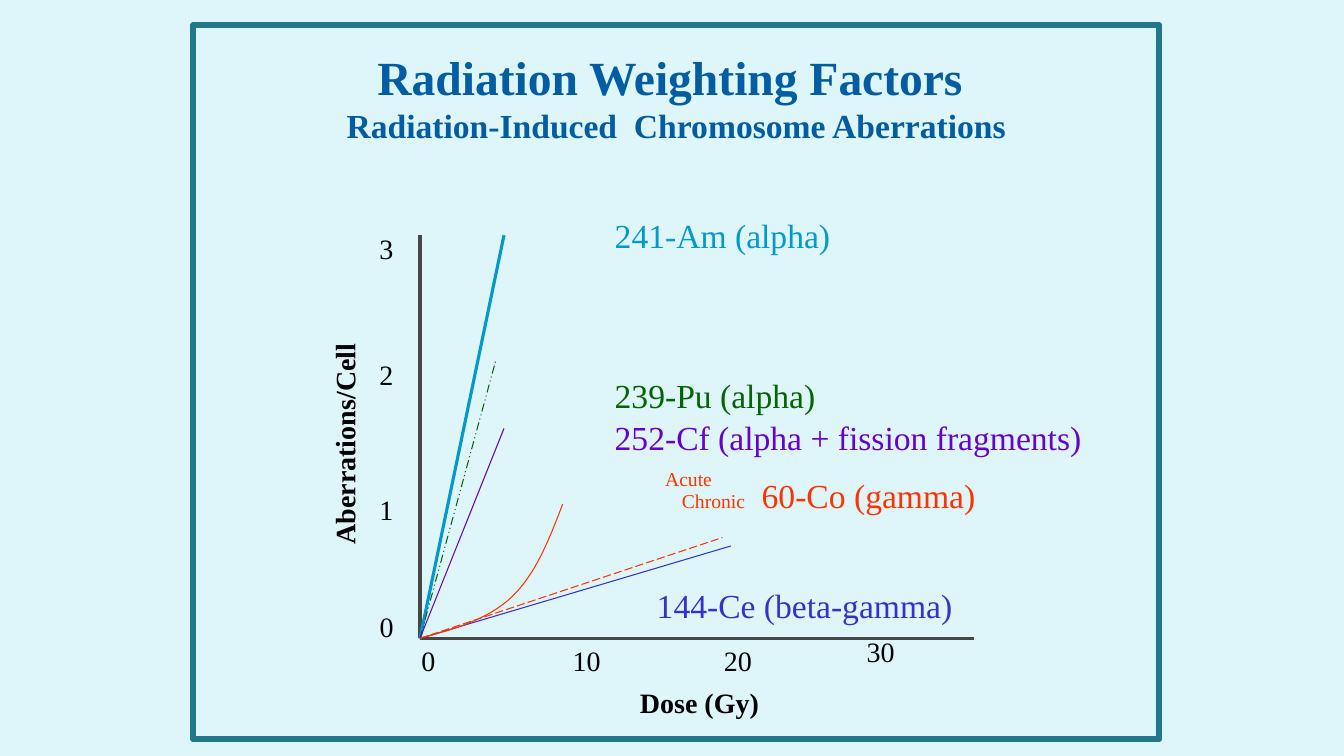
from lxml import etree
from pptx import Presentation
from pptx.dml.color import RGBColor as RGB
from pptx.enum.dml import MSO_LINE as Dash
from pptx.enum.shapes import MSO_CONNECTOR as Link, MSO_SHAPE as Form
from pptx.enum.text import MSO_ANCHOR as Anchor, PP_ALIGN as Align
from pptx.oxml.ns import qn
from pptx.util import Pt

HUE = {
    "back": "DEF5FA", "frame": "21788D", "title": "005DA2", "axis": "464646",
    "text": "000000", "am": "0099CC", "pu": "006600", "cf": "6600CC",
    "ce": "3333CC", "co": "FF3300",
}

deck = Presentation()
deck.slide_width, deck.slide_height = 12192000, 6858000
unit = deck.slide_width // 160
slide = deck.slides.add_slide(deck.slide_layouts[6])
slide.background.fill.solid()
slide.background.fill.fore_color.rgb = RGB.from_string(HUE["back"])
shapes = slide.shapes


def write(x, y, w, h, runs, hue, bold=False):
    box = shapes.add_textbox(*[round(n * unit) for n in (x, y, w, h)])
    box.text_frame.word_wrap = True
    para = box.text_frame.paragraphs[0]
    for text, size in runs:
        run = para.add_run()
        run.text = text
        font = run.font
        font.name, font.size, font.bold = "Times New Roman", Pt(size), bold
        font.color.rgb = RGB.from_string(HUE[hue])
    return box


def stroke(item, hue, width):
    item.line.color.rgb = RGB.from_string(HUE[hue])
    item.line.width = Pt(width)


title = write(27, 4, 107, 15, [("Radiation Weighting Factors ", 34)], "title", True)
title.text_frame.vertical_anchor = Anchor.MIDDLE
head = title.text_frame.paragraphs[0]
head.alignment = Align.CENTER
head.add_line_break()
sub = head.add_run()
sub.text = "Radiation-Induced  Chromosome Aberrations"
sub.font.name, sub.font.size, sub.font.bold = "Times New Roman", Pt(24), True
sub.font.color.rgb = RGB.from_string(HUE["title"])

left, base = 50, 76
rays = [
    (left, 28, "axis", 2.25, None),
    (116, base, "axis", 2.25, None),
    (60, 28, "am", 2.25, None),
    (59, 43, "pu", 0.75, Dash.DASH_DOT_DOT),
    (60, 51, "cf", 0.75, None),
    (87, 65, "ce", 0.75, None),
    (86, 64, "co", 0.75, Dash.LONG_DASH),
]
for x, y, hue, width, dash in rays:
    ray = shapes.add_connector(
        Link.STRAIGHT, left * unit, base * unit, x * unit, y * unit)
    stroke(ray, hue, width)
    if dash:
        ray.line.dash_style = dash
    etree.SubElement(ray._element.spPr, qn("a:effectLst"))

bends = [
    [(left, base), (54.1, 74.9), (58.2, 73.7), (61, 71)],
    [(61, 71), (63.8, 68.3), (65.4, 64.2), (67, 60)],
]
steps = 16
dots = []
for bend in bends:
    for step in range(1, steps + 1):
        t = step / steps
        parts = ((1 - t) ** 3, 3 * t * (1 - t) ** 2, 3 * t * t * (1 - t), t ** 3)
        dots.append([unit * sum(k * p[i] for k, p in zip(parts, bend)) for i in (0, 1)])
pen = shapes.build_freeform(left * unit, base * unit)
pen.add_line_segments(dots, close=False)
curve = pen.convert_to_shape()
curve.fill.background()
curve.shadow.inherit = False
stroke(curve, "co", 0.75)

for x, y, w, text in [
    (67, 76, 9, "10"), (85, 76, 8, "20"), (102, 75, 8, "30"), (49, 76, 6, "0"),
    (44, 72, 4, "0"), (44, 58, 6, "1"), (44, 42, 6, "2"), (44, 27, 6, "3"),
]:
    write(x, y, w, 5.25, [(text, 20)], "text")

write(75, 81, 22, 5.25, [("Dose (Gy)", 20)], "text", True)
side = write(24.5, 46.9, 33, 5.25, [("Aberrations/Cell", 20)], "text", True)
side.rotation = 270

for x, y, w, text, hue in [
    (72, 25, 32, "241-Am (alpha)", "am"),
    (72, 44, 37, "239-Pu (alpha)", "pu"),
    (72, 49, 65, "252-Cf (alpha + fission fragments)", "cf"),
    (77, 69, 52, "144-Ce (beta-gamma)", "ce"),
]:
    write(x, y, w, 6, [(text, 24)], hue)

write(78, 55, 15, 4, [("Acute", 14)], "co")
gamma = write(80, 56, 49, 6, [("Chronic", 14), ("\t60-Co (gamma)", 24)], "co")
props = gamma.text_frame.paragraphs[0]._p.get_or_add_pPr()
tabs = etree.SubElement(props, qn("a:tabLst"))
etree.SubElement(tabs, qn("a:tab"), pos=str(round(9.5 * unit)), algn="l")

frame = shapes.add_shape(Form.RECTANGLE, *[n * unit for n in (23, 3, 115, 85)])
frame.fill.background()
frame.shadow.inherit = False
stroke(frame, "frame", 4.5)

deck.save("out.pptx")
